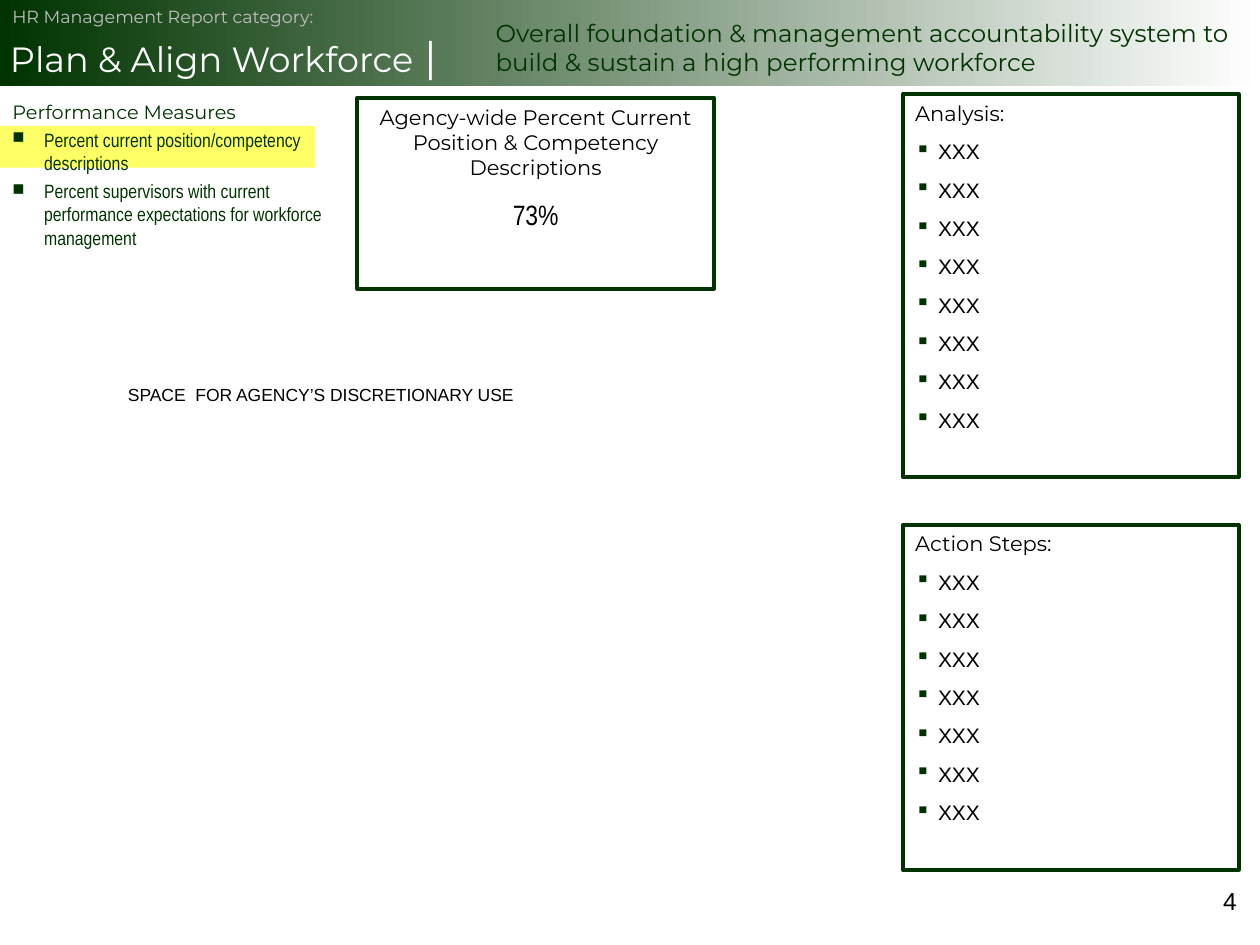
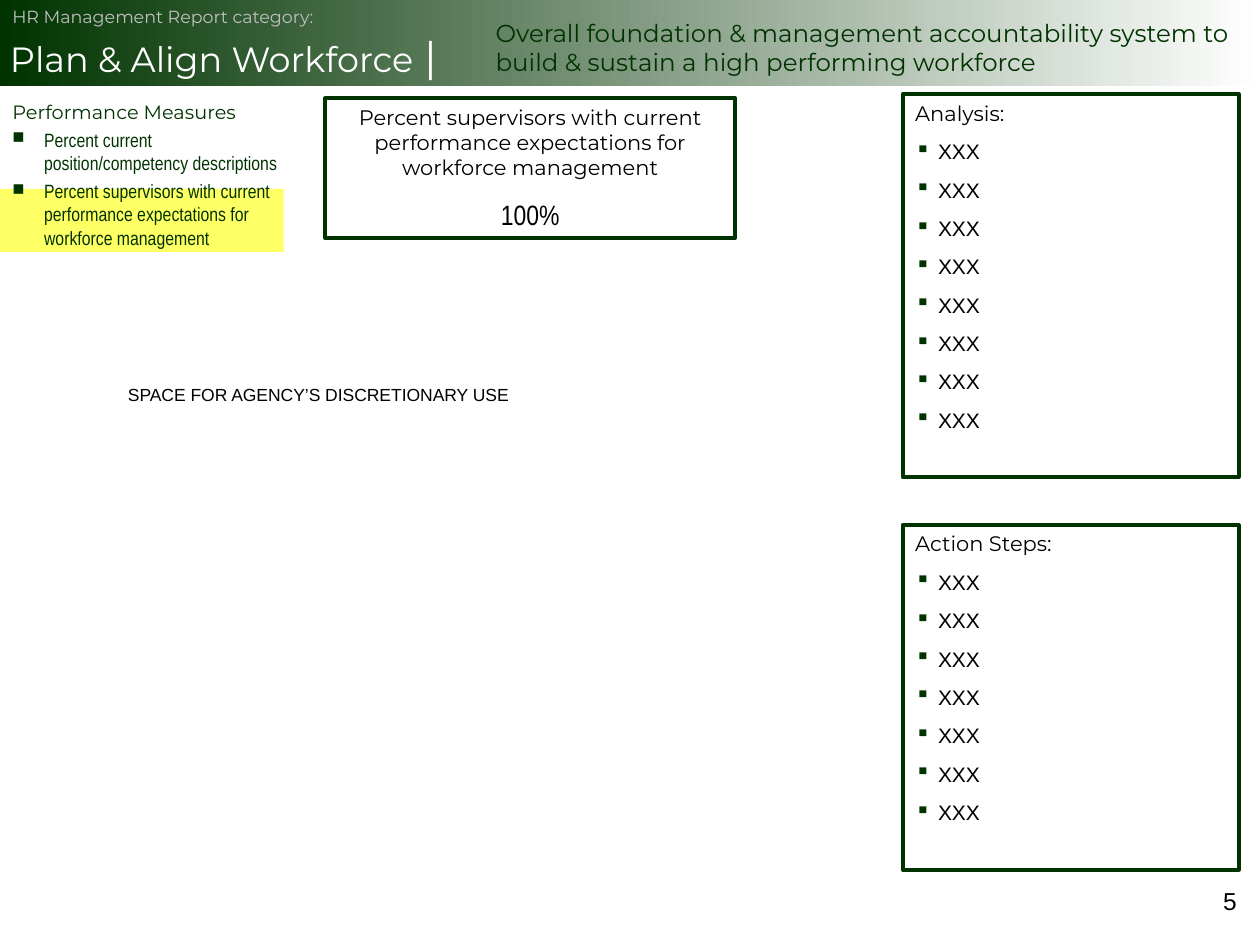
from lxml.etree import SubElement
from pptx import Presentation
from pptx.dml.color import RGBColor
from pptx.enum.shapes import MSO_SHAPE
from pptx.enum.text import MSO_ANCHOR, PP_ALIGN
from pptx.oxml.ns import qn
from pptx.util import Cm, Pt

COLORS = {"green": "003300", "yellow": "FFFF66", "gray": "C0C0C0",
          "white": "FFFFFF", "black": "000000"}
HEAD, BODY, NARROW = "Montserrat", "Arial", "Arial Narrow"

MEASURES = ["Percent current position/competency descriptions",
            "Percent supervisors with current performance expectations "
            "for workforce management"]
PANELS = [("Analysis:", 8, 1.9, 7.72), ("Action Steps:", 7, 10.58, 6.96)]
SLIDES = [
    {"number": "4", "mark": (2.54, 6.35, 0.84), "list": (6.99, 5.28),
     "result": (7.2, 7.2, 3.84), "value": "73%",
     "measure": "Agency-wide Percent Current Position & Competency Descriptions",
     "space": "SPACE  FOR AGENCY’S DISCRETIONARY USE"},
    {"number": "5", "mark": (3.81, 5.72, 1.27), "list": (5.92, 4.45),
     "result": (6.56, 8.26, 2.82), "value": "100%", "measure": MEASURES[1],
     "space": "SPACE FOR AGENCY’S DISCRETIONARY USE"},
]


def add_box(s, left, top, width, height, fill=None, line=None):
    """Rectangle with top-left text; without fill and line a text box."""
    at = Cm(left), Cm(top), Cm(width), Cm(height)
    if fill or line:
        sp = s.shapes.add_shape(MSO_SHAPE.RECTANGLE, *at)
        sp.shadow.inherit = False
    else:
        sp = s.shapes.add_textbox(*at)
    if fill:
        sp.fill.solid()
        sp.fill.fore_color.rgb = RGBColor.from_string(COLORS[fill])
    else:
        sp.fill.background()
    if line:
        sp.line.color.rgb = RGBColor.from_string(COLORS[line])
        sp.line.width = Pt(2.25)
    else:
        sp.line.fill.background()
    sp.text_frame.word_wrap = True
    sp.text_frame.vertical_anchor = MSO_ANCHOR.TOP
    return sp


def add_text(tf, text, font, size, color="black", align=PP_ALIGN.LEFT,
             before=0, bullet=None, indent=0, bullet_size=100):
    """Fill the empty first paragraph, or append another one."""
    p = tf.paragraphs[0] if not tf.text else tf.add_paragraph()
    p.text = text
    p.alignment = align
    if before:
        p.space_before = Pt(before)
    if bullet:
        pPr = p._p.get_or_add_pPr()
        pPr.set("marL", str(Cm(indent)))
        pPr.set("indent", str(-Cm(indent)))
        clr = SubElement(pPr, qn("a:buClr"))
        SubElement(clr, qn("a:srgbClr"), val=COLORS["green"])
        SubElement(pPr, qn("a:buSzPct"), val=str(bullet_size * 1000))
        SubElement(pPr, qn("a:buChar"), char=bullet)
    r = p.runs[0]
    r.font.name, r.font.size = font, Pt(size)
    r.font.color.rgb = RGBColor.from_string(COLORS[color])
    return p


prs = Presentation()
prs.slide_width, prs.slide_height = Cm(25.4), Cm(19.05)

for data in SLIDES:
    s = prs.slides.add_slide(prs.slide_layouts[6])

    # Performance measures with the current one highlighted
    top, width, height = data["mark"]
    add_box(s, 0, top, width, height, fill="yellow")
    width, height = data["list"]
    tf = add_box(s, 0, 1.9, width, height).text_frame
    add_text(tf, "Performance Measures", HEAD, 11, "green")
    for measure in MEASURES:
        add_text(tf, measure, NARROW, 11, "green", before=2.8,
                 bullet="■", indent=0.64, bullet_size=85)

    # Header band
    band = add_box(s, 0, 0, 25.4, 1.73, fill="green")
    band.fill.gradient()
    band.fill.gradient_angle = 0
    for stop, color in zip(band.fill.gradient_stops, ("green", "white")):
        stop.color.rgb = RGBColor.from_string(COLORS[color])
    tf = band.text_frame
    tf.margin_left = tf.margin_right = Cm(0.2)
    tf.margin_top = tf.margin_bottom = Cm(0.1)
    p = add_text(tf, "Plan & Align Workforce", HEAD, 20, "white")
    p.line_spacing = 1.5
    r = p.add_run()
    r.text = " |"
    r.font.name, r.font.size = HEAD, Pt(24)
    r.font.color.rgb = RGBColor.from_string(COLORS["white"])

    # Category and title
    tf = add_box(s, 0, 0, 7.62, 0.69).text_frame
    add_text(tf, "HR Management Report category:", HEAD, 10, "gray")
    tf = add_box(s, 9.74, 0, 15.66, 1.9).text_frame
    tf.vertical_anchor = MSO_ANCHOR.MIDDLE
    add_text(tf, "Overall foundation & management accountability system to "
             "build & sustain a high performing workforce", HEAD, 14, "green")

    # Result of the measure
    left, width, height = data["result"]
    tf = add_box(s, left, 1.98, width, height, line="green").text_frame
    add_text(tf, data["measure"], HEAD, 12, align=PP_ALIGN.CENTER)
    add_text(tf, data["value"], NARROW, 16, align=PP_ALIGN.CENTER, before=10)

    # Free space
    tf = add_box(s, 2.33, 7.62, 10.37, 0.69).text_frame
    add_text(tf, data["space"], BODY, 10)

    # Analysis and action steps
    for heading, count, top, height in PANELS:
        tf = add_box(s, 18.2, top, 6.77, height, line="green").text_frame
        add_text(tf, heading, HEAD, 12)
        for _ in range(count):
            add_text(tf, "XXX", BODY, 12, before=7.5, bullet="▪", indent=0.46)

    # Page number
    tf = add_box(s, 19.26, 17.73, 5.92, 1.32).text_frame
    add_text(tf, data["number"], BODY, 14, align=PP_ALIGN.RIGHT)

prs.save("out.pptx")
